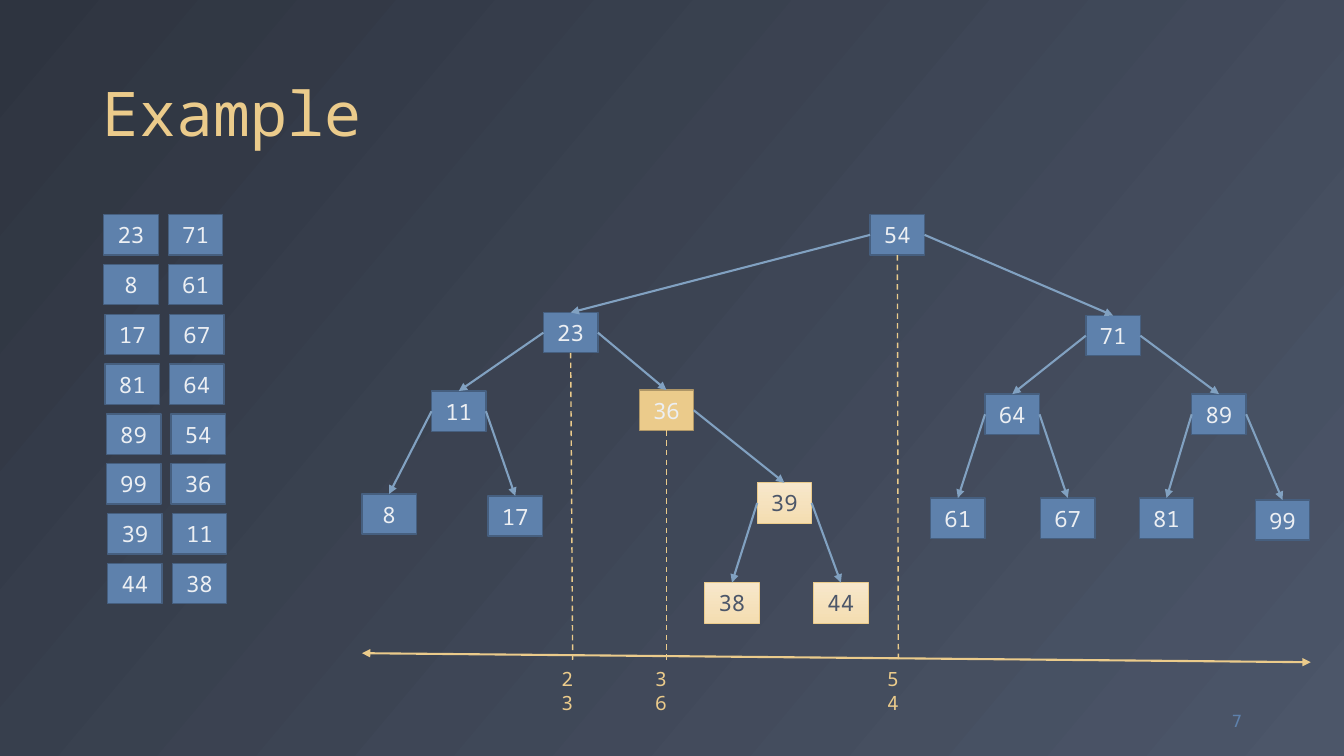
from lxml import etree
from pptx import Presentation
from pptx.dml.color import RGBColor
from pptx.enum.dml import MSO_LINE_DASH_STYLE as DASH
from pptx.enum.shapes import MSO_CONNECTOR, MSO_SHAPE
from pptx.enum.text import MSO_ANCHOR as ANCHOR, PP_ALIGN as ALIGN
from pptx.oxml.ns import qn
from pptx.util import Inches, Pt

MONO = "Noto Sans Mono"
BLUE, GOLD, PALE, SLATE = "5E81AC", "EBCB8B", "ECEFF3", "4C5669"
TOP, LEFT, BOTTOM, RIGHT = range(4)
NODE_W, NODE_H = 0.54, 0.4
AXIS_Y = 6.57

# style: fill colours, line colour, line width, text colour
PLAIN = ([BLUE], "465F7F", 1, PALE)
CURRENT = ([GOLD], "AE9667", 1, PALE)
SUBTREE = (["F7E7CB", "F4DDB1"], GOLD, 0.5, SLATE)

ARRAY = [(23, 71), (8, 61), (17, 67), (81, 64),
         (89, 54), (99, 36), (39, 11), (44, 38)]
TREE = {
    54: (8.63, 2.13), 23: (5.39, 3.1), 71: (10.77, 3.13),
    11: (4.28, 3.88), 36: (6.34, 3.87), 64: (9.77, 3.91), 89: (11.82, 3.91),
    8: (3.59, 4.9), 17: (4.84, 4.92), 39: (7.51, 4.79),
    61: (9.23, 4.94), 67: (10.32, 4.94), 81: (11.3, 4.94), 99: (12.45, 4.96),
    38: (6.99, 5.78), 44: (8.07, 5.78),
}
STYLES = {36: CURRENT, 39: SUBTREE, 38: SUBTREE, 44: SUBTREE}
# parent: (left child, right child)
CHILDREN = {54: (23, 71), 23: (11, 36), 71: (64, 89), 11: (8, 17),
            36: (None, 39), 64: (61, 67), 89: (81, 99), 39: (38, 44)}
# value: (foot of the dashed line, left of the label)
SPLITS = {23: (5.68, 5.47), 36: (6.61, 6.4), 54: (8.91, 8.7)}


def rgb(color):
    return RGBColor.from_string(color)


def paint(fill, colors, angle):
    """Fill with one colour, or with a gradient at a clockwise angle."""
    if len(colors) == 1:
        fill.solid()
        fill.fore_color.rgb = rgb(colors[0])
        return
    fill.gradient()
    fill.gradient_angle = 360 - angle
    for position, (stop, color) in enumerate(zip(fill.gradient_stops, colors)):
        stop.color.rgb = rgb(color)
        stop.position = position


def write(tf, text, size, color, align=ALIGN.LEFT, anchor=ANCHOR.TOP, font=MONO):
    tf.text = text
    tf.word_wrap = True
    tf.vertical_anchor = anchor
    p = tf.paragraphs[0]
    p.alignment = align
    p.font.name, p.font.size, p.font.color.rgb = font, Pt(size), rgb(color)
    return p


def add_node(s, value, x, y, style=PLAIN):
    colors, line_color, width, text_color = style
    sp = s.shapes.add_shape(MSO_SHAPE.RECTANGLE, Inches(x), Inches(y),
                            Inches(NODE_W), Inches(NODE_H))
    sp.shadow.inherit = False
    paint(sp.fill, colors, 90)
    sp.line.color.rgb, sp.line.width = rgb(line_color), Pt(width)
    write(sp.text_frame, str(value), 16, text_color, ALIGN.CENTER, ANCHOR.MIDDLE)
    return sp


def add_line(s, start, end, color, width, arrows=(), dash=None):
    """Draw a line; arrows may hold headEnd (start) and tailEnd (end)."""
    line = s.shapes.add_connector(MSO_CONNECTOR.STRAIGHT,
                                  *map(Inches, (*start, *end)))
    line.line.color.rgb, line.line.width = rgb(color), Pt(width)
    if dash:
        line.line.dash_style = dash
    ln = line.line._get_or_add_ln()
    for arrow in arrows:
        etree.SubElement(ln, qn(f"a:{arrow}"), type="triangle")
    etree.SubElement(line._element.spPr, qn("a:effectLst"))
    return line


def add_label(s, text, x, y, w, h, size, color, **options):
    box = s.shapes.add_textbox(*map(Inches, (x, y, w, h)))
    write(box.text_frame, text, size, color, **options)


def add_title(s, text):
    title = s.shapes.title
    title.left, title.top = Inches(0.92), Inches(0.18)
    title.width, title.height = Inches(11.5), Inches(1.36)
    p = write(title.text_frame, text, 44, GOLD, anchor=ANCHOR.BOTTOM)
    p.line_spacing = 0.9


def add_array(s):
    for row, values in enumerate(ARRAY):
        for col, value in enumerate(values):
            x = 1.03 + 0.64 * col + 0.013 * (row // 2)
            add_node(s, value, x, 2.13 + 3.46 / 7 * row)


def add_tree(s):
    nodes = {value: add_node(s, value, *at, STYLES.get(value, PLAIN))
             for value, at in TREE.items()}
    for parent, children in CHILDREN.items():
        for side, child in zip((LEFT, RIGHT), children):
            if child is not None:
                edge = add_line(s, TREE[parent], TREE[child], "81A1C1", 1.5,
                                ["tailEnd"])
                edge.begin_connect(nodes[parent], side)
                edge.end_connect(nodes[child], TOP)
    return nodes


def add_axis(s, nodes):
    add_line(s, (3.59, 6.48), (13, AXIS_Y), GOLD, 1.5, ["headEnd", "tailEnd"])
    for value, (foot, label) in SPLITS.items():
        drop = add_line(s, TREE[value], (foot, AXIS_Y), GOLD, 1, dash=DASH.DASH)
        drop.begin_connect(nodes[value], BOTTOM)
        add_label(s, str(value), label, AXIS_Y, 0.41, 0.34, 14, GOLD)


def main():
    prs = Presentation()
    prs.slide_width, prs.slide_height = Inches(13.33), Inches(7.5)
    s = prs.slides.add_slide(prs.slide_layouts[5])
    paint(s.background.fill, ["2E3440", SLATE], 40)
    add_title(s, "Example")
    add_array(s)
    add_axis(s, add_tree(s))
    add_label(s, "7", 11.59, 6.95, 0.83, 0.4, 12, BLUE, align=ALIGN.RIGHT,
              anchor=ANCHOR.MIDDLE, font="DejaVu Sans")
    prs.save("out.pptx")


if __name__ == "__main__":
    main()
